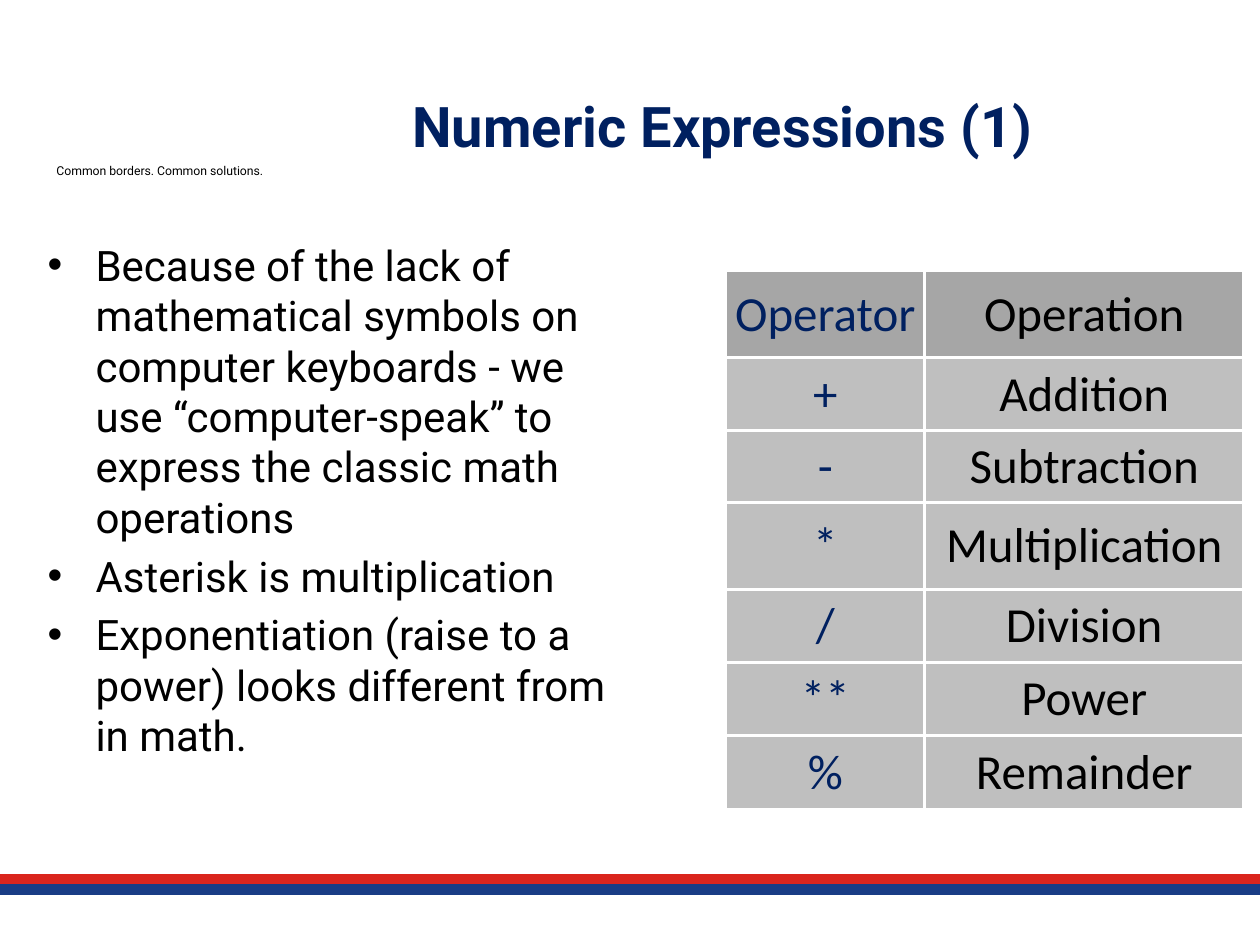
"""Build a slide on numeric expressions with a table of operators."""
from lxml.etree import SubElement
from pptx import Presentation
from pptx.dml.color import RGBColor
from pptx.enum.shapes import MSO_CONNECTOR as Connector
from pptx.enum.text import MSO_ANCHOR as Anchor, PP_ALIGN as Align
from pptx.oxml.ns import qn
from pptx.util import Inches, Pt

COLORS = {
    "black": "000000", "navy": "002060", "white": "FFFFFF",
    "red": "DA251D", "blue": "193C85", "header": "A6A6A6", "body": "BFBFBF",
}
BULLETS = [
    "Because of the lack of mathematical symbols on computer keyboards - we "
    "use “computer-speak” to express the classic math operations",
    "Asterisk is multiplication",
    "Exponentiation (raise to a power) looks different from in math.",
]
OPERATORS = [
    ("Operator", "Operation"), ("+", "Addition"), ("-", "Subtraction"),
    ("*", "Multiplication"), ("/", "Division"), ("**", "Power"),
    ("%", "Remainder"),
]
COLUMN_WIDTHS = [1.58, 2.53]
ROW_HEIGHTS = [0.69, 0.58, 0.57, 0.69, 0.58, 0.58, 0.59]


def rgb(name):
    return RGBColor.from_string(COLORS[name])


def write(para, text, size=24, font="Roboto", color="black", bold=False, align=Align.LEFT):
    para.alignment = align
    span = para.add_run()
    span.text = text
    span.font.size = Pt(size)
    span.font.name = font
    span.font.bold = bold
    span.font.color.rgb = rgb(color)


def add_bullet(para, indent=0.38):
    para.space_before = Pt(4.8)
    props = para._p.get_or_add_pPr()
    props.set("marL", str(Inches(indent)))
    props.set("indent", str(-Inches(indent)))
    SubElement(props, qn("a:buFont"), typeface="Arial")
    SubElement(props, qn("a:buChar"), char="•")


def add_text(page, place, texts, bulleted=False, anchor=Anchor.TOP, **style):
    frame = page.shapes.add_textbox(*map(Inches, place)).text_frame
    frame.word_wrap = True
    frame.vertical_anchor = anchor
    for index, text in enumerate(texts):
        para = frame.add_paragraph() if index else frame.paragraphs[0]
        write(para, text, **style)
        if bulleted:
            add_bullet(para)


def add_stripe(page, y, color):
    stripe = page.shapes.add_connector(
        Connector.STRAIGHT, Inches(0), Inches(y), Inches(10), Inches(y))
    stripe.line.color.rgb = rgb(color)
    stripe.line.width = Pt(6)
    SubElement(stripe._element.spPr, qn("a:effectLst"))


def add_borders(cell, color="white", width=2):
    props = cell._tc.get_or_add_tcPr()
    for index, side in enumerate(("lnL", "lnR", "lnT", "lnB")):
        line = props.makeelement(qn(f"a:{side}"), {"w": str(Pt(width))})
        fill = SubElement(line, qn("a:solidFill"))
        SubElement(fill, qn("a:srgbClr"), val=COLORS[color])
        props.insert(index, line)


def fill_cell(cell, text, color, fill):
    cell.fill.solid()
    cell.fill.fore_color.rgb = rgb(fill)
    cell.vertical_anchor = Anchor.MIDDLE
    cell.margin_left = cell.margin_right = Inches(0.04)
    cell.margin_top = cell.margin_bottom = Inches(0.04)
    write(cell.text_frame.paragraphs[0], text, size=28, font="Calibri",
          color=color, align=Align.CENTER)
    add_borders(cell)


def add_operator_table(page):
    table = page.shapes.add_table(
        len(OPERATORS), len(COLUMN_WIDTHS), Inches(5.76), Inches(2.15),
        Inches(sum(COLUMN_WIDTHS)), Inches(sum(ROW_HEIGHTS))).table
    for column, width in zip(table.columns, COLUMN_WIDTHS):
        column.width = Inches(width)
    for row, height in zip(table.rows, ROW_HEIGHTS):
        row.height = Inches(height)
    for r, texts in enumerate(OPERATORS):
        for c, (text, color) in enumerate(zip(texts, ("navy", "black"))):
            fill_cell(table.cell(r, c), text, color, "body" if r else "header")


def main():
    deck = Presentation()
    deck.slide_width, deck.slide_height = Inches(10), Inches(7.5)
    page = deck.slides.add_slide(deck.slide_layouts[6])
    add_stripe(page, 6.98, "red")
    add_stripe(page, 7.06, "blue")
    add_text(page, (0.35, 1.25, 2.13, 0.22), ["Common borders. Common solutions."], size=7)
    add_text(page, (0.28, 1.85, 4.72, 4.88), BULLETS, bulleted=True)
    add_text(page, (2.19, 0.45, 7.09, 1.09), ["Numeric Expressions (1)"], size=32,
             color="navy", bold=True, align=Align.CENTER, anchor=Anchor.MIDDLE)
    add_operator_table(page)
    deck.save("out.pptx")


if __name__ == "__main__":
    main()
